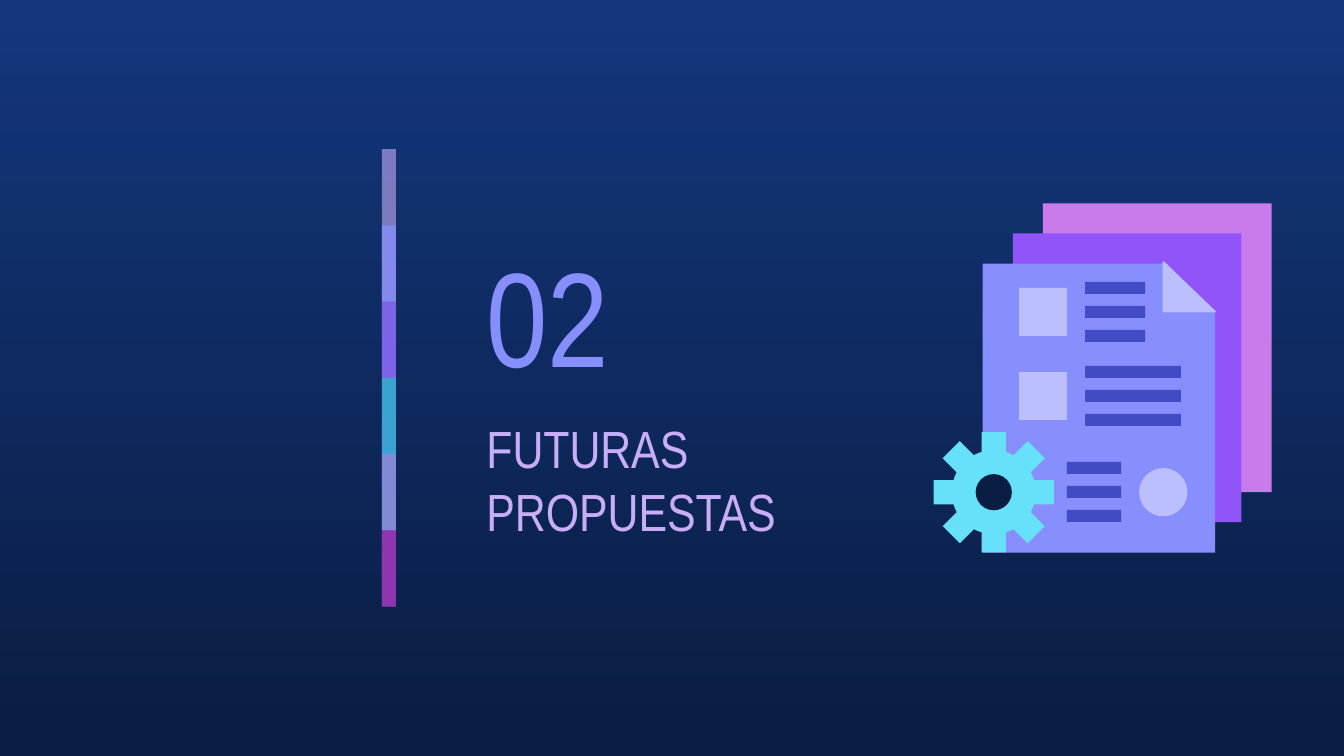
from math import asin, cos, radians, sin

from lxml.etree import SubElement
from pptx import Presentation
from pptx.dml.color import RGBColor
from pptx.enum.shapes import MSO_SHAPE
from pptx.enum.text import MSO_ANCHOR
from pptx.oxml.ns import qn
from pptx.util import Pt

DARK, PERIWINKLE, PALE, INDIGO = "0A1D42", "878FFF", "BBBFFF", "424BC4"
LILAC, VIOLET, ORCHID, CYAN = "C8AEF8", "9154F8", "CA7BEB", "67E0F9"


def colour(value):
    return RGBColor.from_string(value)


class Painter:
    font = "Arial Narrow"
    inset = 7.2

    def __init__(self, slide):
        self.slide = slide

    def background(self, top, bottom):
        fill = self.slide.background.fill
        fill.gradient()
        fill.gradient_angle = 270
        for stop, position, value in zip(fill.gradient_stops, (0, 1), (top, bottom)):
            stop.position = position
            stop.color.rgb = colour(value)

    def paint(self, shape, fill, line=None, opacity=None):
        shape.shadow.inherit = False
        shape.fill.solid()
        shape.fill.fore_color.rgb = colour(fill)
        if opacity is not None:
            tone = shape.fill._xPr.find(qn("a:solidFill"))[0]
            SubElement(tone, qn("a:alpha")).set("val", str(opacity * 1000))
        if line:
            shape.line.color.rgb = colour(line)
            shape.line.width = Pt(0.75)
        else:
            shape.line.fill.background()

    def block(self, left, top, width, height, fill, kind=MSO_SHAPE.RECTANGLE, opacity=None):
        shape = self.slide.shapes.add_shape(kind, Pt(left), Pt(top), Pt(width), Pt(height))
        self.paint(shape, fill, opacity=opacity)

    def circle(self, x, y, radius, fill):
        self.block(x - radius, y - radius, 2 * radius, 2 * radius, fill, MSO_SHAPE.OVAL)

    def outline(self, points, fill, line=None):
        corners = [(Pt(x), Pt(y)) for x, y in points]
        builder = self.slide.shapes.build_freeform(*corners[0])
        builder.add_line_segments(corners[1:], close=True)
        self.paint(builder.convert_to_shape(), fill, line)

    def gear(self, x, y, fill, teeth=8, reach=32.2, body=22.5, half=6.5):
        edge = asin(half / body)
        step = radians(360 / teeth)
        points = []
        for tooth in range(teeth):
            turn = tooth * step
            # Tooth tip, then the rounded gap to the next tooth
            local = [(reach, -half), (reach, half)]
            for part in range(5):
                angle = edge + (step - 2 * edge) * part / 4
                local.append((body * cos(angle), body * sin(angle)))
            points += [(x + a * cos(turn) - b * sin(turn),
                        y + a * sin(turn) + b * cos(turn)) for a, b in local]
        self.outline(points, fill)

    def text(self, left, top, width, height, words, size, fill, anchor=MSO_ANCHOR.TOP):
        box = self.slide.shapes.add_textbox(Pt(left), Pt(top), Pt(width), Pt(height))
        frame = box.text_frame
        frame.word_wrap = True
        frame.vertical_anchor = anchor
        frame.margin_left = frame.margin_right = Pt(self.inset)
        frame.margin_top = frame.margin_bottom = Pt(self.inset)
        para = frame.paragraphs[0]
        para.text = words
        para.font.name = self.font
        para.font.size = Pt(size)
        para.font.color.rgb = colour(fill)


def main():
    deck = Presentation()
    deck.slide_width, deck.slide_height = Pt(720), Pt(405)
    painter = Painter(deck.slides.add_slide(deck.slide_layouts[6]))
    painter.background("13367C", DARK)

    # Section number and title
    painter.text(253.5, 119.5, 126, 97, "02", 72, PERIWINKLE, MSO_ANCHOR.MIDDLE)
    painter.text(253.5, 216, 206.6, 69, "FUTURAS PROPUESTAS", 28, LILAC)

    # Stacked sheets, the front one with a folded corner
    for index, fill in enumerate((ORCHID, VIOLET)):
        shift = 16.1 * index
        painter.block(558.7 - shift, 109 + shift, 122.5, 154.7, fill)
    left, top, right, bottom = 526.4, 141.2, 651, 296
    painter.outline([(left, top), (left, bottom), (right, bottom),
                     (right, 167.5), (625, top)], PERIWINKLE)

    # Gear
    gear_x, gear_y = 532.4, 263.7
    painter.gear(gear_x, gear_y, CYAN)
    painter.circle(gear_x, gear_y, 9.7, DARK)

    # Pictures and lines of writing on the front sheet
    for y in (154.3, 199.3):
        painter.block(545.9, y, 25.7, 25.7, PALE)
    painter.circle(623.2, gear_y, 12.9, PALE)
    for x, y, width in ((581.3, 151.1, 32.2), (581.3, 196.1, 51.4), (571.6, 247.5, 29)):
        for row in range(3):
            painter.block(x, y + 12.85 * row, width, 6.4, INDIGO)
    painter.outline([(623.2, 140.3), (623.2, 167), (651, 167)], PALE, PALE)

    # Overlapping translucent strip; the last band is half as tall
    bands = ((LILAC, 59), (PERIWINKLE, 74), (VIOLET, 53),
             ("35C2DF", 76), (ORCHID, 56), ("972CB4", 74))
    step = 40.85
    for index, (fill, opacity) in enumerate(bands):
        height = step if index == len(bands) - 1 else 2 * step
        painter.block(204.6, 79.9 + step * index, 7.5, height, fill, opacity=opacity)

    deck.save("out.pptx")


if __name__ == "__main__":
    main()
